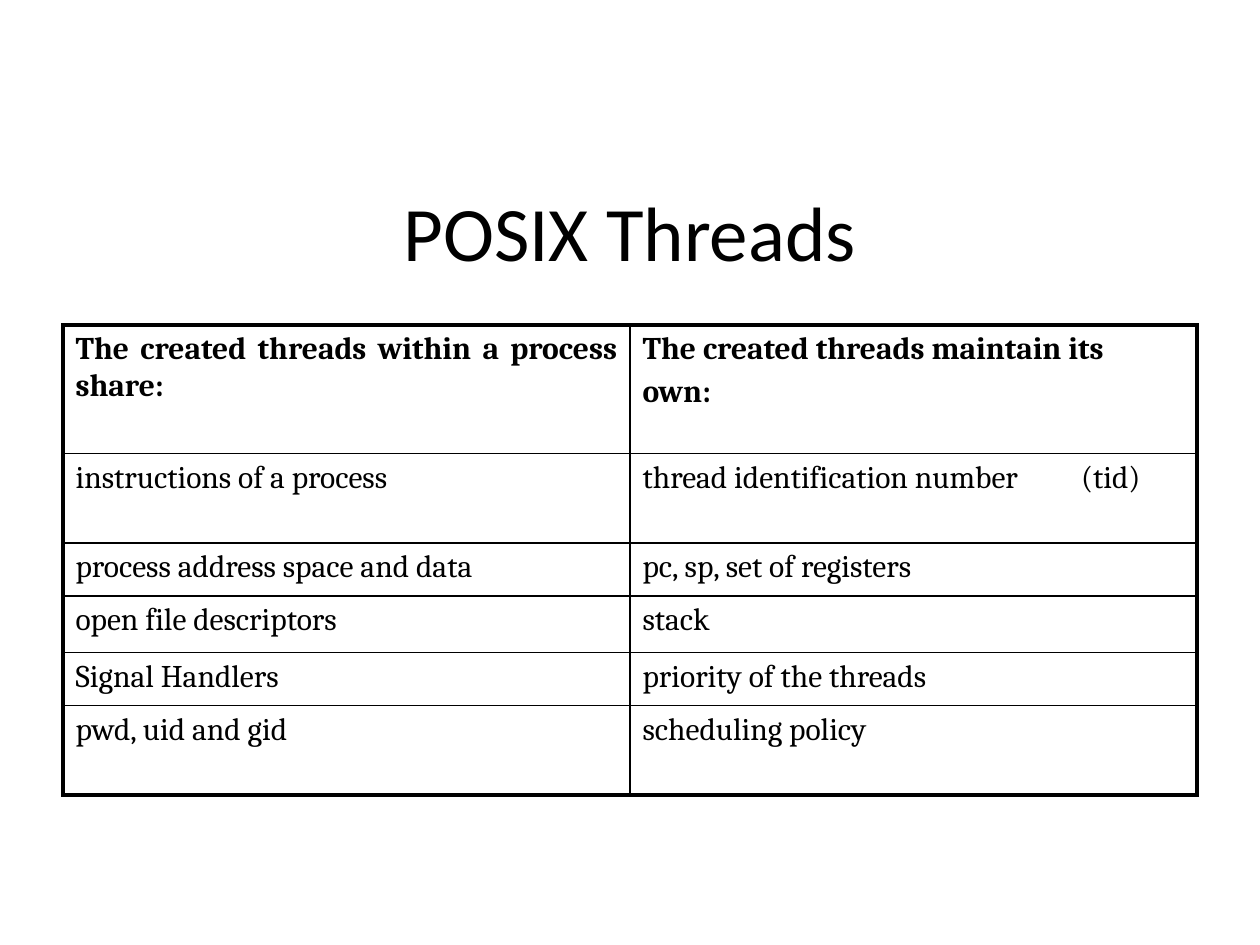
"""Build the POSIX Threads slide with its table of shared and own thread resources."""
from dataclasses import dataclass

from lxml import etree
from pptx import Presentation
from pptx.dml.color import RGBColor
from pptx.enum.text import MSO_ANCHOR, PP_ALIGN
from pptx.oxml.ns import qn
from pptx.slide import Slide
from pptx.table import _Cell
from pptx.text.text import _Paragraph
from pptx.util import Inches, Pt

CENTER, JUSTIFY = PP_ALIGN.CENTER, PP_ALIGN.JUSTIFY
MIDDLE = MSO_ANCHOR.MIDDLE
WIDTH, HEIGHT = Inches(10), Inches(7.5)


@dataclass(frozen=True)
class Theme:
    """Colours, fonts, type sizes and line widths of the slide."""
    ink: str = "000000"
    title_font: str = "Calibri"
    table_font: str = "Cambria"
    title_size: float = 44
    table_size: float = 18
    space_before: float = 3.6
    inner_line: float = 1
    outer_line: float = 2.25


@dataclass(frozen=True)
class ResourceRow:
    """One table row: a shared resource, a thread's own one and the row height."""
    shared: str
    own: str
    inches: float


THEME = Theme()
TID_TAB = Inches(3.48)
ROWS = (
    ResourceRow("The created threads within a process share:",
                "The created threads maintain its\nown:", 1.02),
    ResourceRow("instructions of a process", "thread identification number\t(tid)", 0.71),
    ResourceRow("process address space and data", "pc, sp, set of registers", 0.42),
    ResourceRow("open file descriptors", "stack", 0.45),
    ResourceRow("Signal Handlers", "priority of the threads", 0.42),
    ResourceRow("pwd, uid and gid", "scheduling policy", 0.71),
)


def style_paragraph(paragraph: _Paragraph, align: PP_ALIGN, font: str, size: float,
                    bold: bool = False) -> None:
    """Align a paragraph and format its runs."""
    paragraph.alignment = align
    for run in paragraph.runs:
        run.font.name = font
        run.font.size = Pt(size)
        run.font.bold = bold
        run.font.color.rgb = RGBColor.from_string(THEME.ink)


def add_tab_stop(paragraph: _Paragraph, position: int) -> None:
    """Give a paragraph one left tab stop."""
    stops = etree.SubElement(paragraph._p.get_or_add_pPr(), qn("a:tabLst"))
    etree.SubElement(stops, qn("a:tab"), pos=str(position), algn="l")


def set_borders(cell: _Cell, outer_sides: dict[str, bool]) -> None:
    """Draw the four borders of a cell, heavier on the table's outer sides."""
    properties = cell._tc.get_or_add_tcPr()
    for index, (side, outer) in enumerate(outer_sides.items()):
        width = Pt(THEME.outer_line if outer else THEME.inner_line)
        border = etree.Element(qn(f"a:ln{side}"), w=str(width))
        fill = etree.SubElement(border, qn("a:solidFill"))
        etree.SubElement(fill, qn("a:srgbClr"), val=THEME.ink)
        properties.insert(index, border)


def fill_cell(cell: _Cell, wording: str, header: bool) -> None:
    """Write and format the wording of one cell."""
    cell.fill.background()
    cell.text_frame.text = wording
    for paragraph in cell.text_frame.paragraphs:
        style_paragraph(paragraph, JUSTIFY, THEME.table_font, THEME.table_size, header)
        paragraph.space_before = Pt(THEME.space_before)
        if "\t" in paragraph.text:
            add_tab_stop(paragraph, TID_TAB)


def add_title(slide: Slide, wording: str) -> None:
    """Add the centred title across the full slide width."""
    title = slide.shapes.add_textbox(0, Inches(1.33), WIDTH, Inches(1)).text_frame
    title.word_wrap = True
    title.vertical_anchor = MIDDLE
    title.text = wording
    style_paragraph(title.paragraphs[0], CENTER, THEME.title_font, THEME.title_size)


def add_resource_table(slide: Slide, rows: tuple[ResourceRow, ...]) -> None:
    """Add the two-column table of resources."""
    margin = int(WIDTH * 0.05)
    height = Inches(sum(row.inches for row in rows))
    table = slide.shapes.add_table(len(rows), 2, margin, Inches(2.58),
                                   WIDTH - 2 * margin, height).table
    table.horz_banding = False
    last = len(rows) - 1
    for r, row in enumerate(rows):
        table.rows[r].height = Inches(row.inches)
        for c, wording in enumerate((row.shared, row.own)):
            cell = table.cell(r, c)
            fill_cell(cell, wording, header=r == 0)
            set_borders(cell, {"L": c == 0, "R": c == 1, "T": r == 0, "B": r == last})


def main() -> None:
    """Build and save the slide."""
    deck = Presentation()
    deck.slide_width, deck.slide_height = WIDTH, HEIGHT
    slide = deck.slides.add_slide(deck.slide_layouts[6])
    add_title(slide, "POSIX Threads")
    add_resource_table(slide, ROWS)
    deck.save("out.pptx")


if __name__ == "__main__":
    main()
